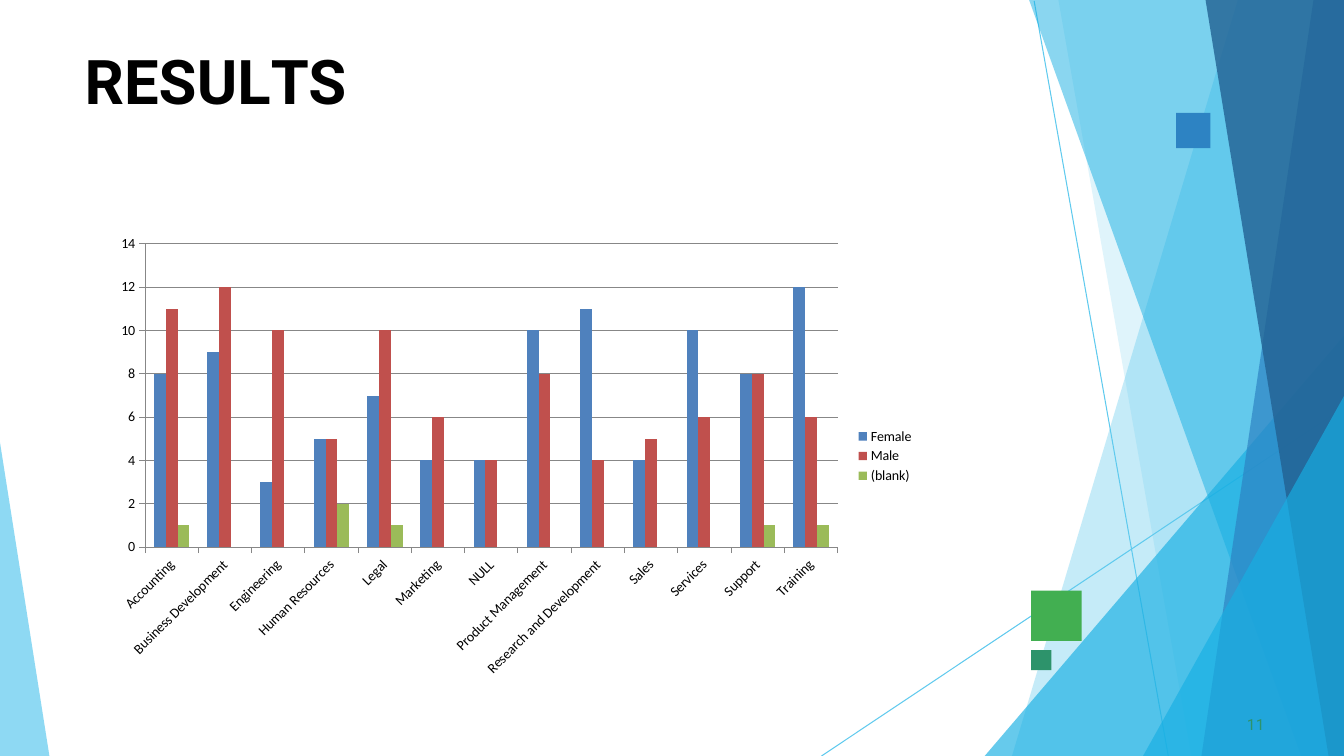
from dataclasses import dataclass

from lxml.etree import SubElement
from pptx import Presentation
from pptx.chart.data import CategoryChartData
from pptx.dml.color import RGBColor
from pptx.enum.chart import XL_CHART_TYPE as ChartType
from pptx.enum.chart import XL_LEGEND_POSITION as LegendPosition
from pptx.enum.chart import XL_TICK_MARK as TickMark
from pptx.enum.shapes import MSO_CONNECTOR as Connector
from pptx.enum.shapes import MSO_SHAPE as Preset
from pptx.oxml.ns import qn
from pptx.slide import Slide
from pptx.util import Pt

WIDTH, HEIGHT = 960, 540
COLORS = {
    "sky": "5FCAEE", "cyan": "17AFE3", "blue": "2D83C3", "navy": "226192",
    "green": "42AF51", "teal": "2D936B", "black": "000000", "axis": "878787",
    "female": "4F81BD", "male": "C0504D", "blank": "9BBB59",
}


@dataclass
class Facet:
    points: list[tuple[float, float]]
    color: str
    opacity: int


@dataclass
class Line:
    start: tuple[float, float]
    end: tuple[float, float]


@dataclass
class Block:
    left: float
    top: float
    width: float
    height: float
    color: str


@dataclass
class Label:
    box: tuple[float, float, float, float]
    runs: list[tuple[str, float]]  # text, letter spacing in points
    size: float
    color: str
    bold: bool
    indent: float
    space_before: float


@dataclass
class Series:
    name: str
    values: list[int | None]
    color: str


def right_band(top_x: float, bottom_x: float) -> list[tuple[float, float]]:
    return [(WIDTH, 0), (top_x, 0), (bottom_x, HEIGHT), (WIDTH, HEIGHT)]


def right_corner(top: float, left: float) -> list[tuple[float, float]]:
    return [(WIDTH, top), (left, HEIGHT), (WIDTH, HEIGHT)]


LINES = [Line((738.7, 0.7), (834.5, HEIGHT)), Line((WIDTH, 290.9), (586.8, HEIGHT))]
FACETS = [
    Facet(right_band(884.2, 722.9), "sky", 36),
    Facet(right_band(756, 851), "sky", 20),
    Facet(right_corner(239.8, 703.4), "cyan", 66),
    Facet(right_band(735.1, 929.5), "cyan", 50),
    Facet(right_band(938.2, 858.2), "blue", 70),
    Facet(right_band(861.1, 949), "navy", 80),
    Facet(right_corner(283, 816.5), "cyan", 66),
    Facet([(0, 316.1), (0, HEIGHT), (35.3, HEIGHT)], "sky", 70),
]
BLOCKS = [
    Block(736.6, 421.9, 36, 36, "green"),
    Block(840.2, 80.6, 24.5, 25.2, "blue"),
    Block(736.6, 464.4, 14.4, 14.4, "teal"),
]
LABELS = [
    Label((59.8, 30.2, 192.2, 54.7),
          [("R", 0), ("E", -0.4), ("S", 0.1), ("U", -0.3), ("L", -4), ("TS", 0)],
          44, "black", True, 0.7, 1.1),
    Label((887.8, 509.8, 18, 15.1), [("11", 0.1)], 11, "teal", False, 2.9, 0.6),
]
DEPARTMENTS = [
    "Accounting", "Business Development", "Engineering", "Human Resources", "Legal",
    "Marketing", "NULL", "Product Management", "Research and Development", "Sales",
    "Services", "Support", "Training",
]
SERIES = [
    Series("Female", [8, 9, 3, 5, 7, 4, 4, 10, 11, 4, 10, 8, 12], "female"),
    Series("Male", [11, 12, 10, 5, 10, 6, 4, 8, 4, 5, 6, 8, 6], "male"),
    Series("(blank)", [1, None, None, 2, 1] + [None] * 6 + [1, 1], "blank"),
]


def rgb(name: str) -> RGBColor:
    return RGBColor.from_string(COLORS[name])


def paint(shape, color: str) -> None:
    shape.shadow.inherit = False
    shape.fill.solid()
    shape.fill.fore_color.rgb = rgb(color)
    shape.line.fill.background()


def draw_line(slide: Slide, line: Line) -> None:
    ends = [Pt(value) for value in (*line.start, *line.end)]
    connector = slide.shapes.add_connector(Connector.STRAIGHT, *ends)
    connector.line.color.rgb = rgb("sky")
    connector.line.width = Pt(0.75)
    SubElement(connector._element.spPr, qn("a:effectLst"))


def draw_facet(slide: Slide, facet: Facet) -> None:
    start, *others = [(Pt(x), Pt(y)) for x, y in facet.points]
    builder = slide.shapes.build_freeform(*start)
    builder.add_line_segments(others, close=True)
    shape = builder.convert_to_shape()
    paint(shape, facet.color)
    color = shape._element.spPr.find(f"{qn('a:solidFill')}/{qn('a:srgbClr')}")
    SubElement(color, qn("a:alpha"), val=str(facet.opacity * 1000))


def draw_block(slide: Slide, block: Block) -> None:
    box = [Pt(value) for value in (block.left, block.top, block.width, block.height)]
    paint(slide.shapes.add_shape(Preset.RECTANGLE, *box), block.color)


def draw_label(slide: Slide, label: Label) -> None:
    frame = slide.shapes.add_textbox(*[Pt(value) for value in label.box]).text_frame
    frame.word_wrap = True
    frame.margin_left = frame.margin_right = frame.margin_bottom = 0
    frame.margin_top = Pt(0.7)
    paragraph = frame.paragraphs[0]
    paragraph.space_before = Pt(label.space_before)
    paragraph._p.get_or_add_pPr().set("marL", str(Pt(label.indent)))
    for text, spacing in label.runs:
        run = paragraph.add_run()
        run.text = text
        run.font.name = "Roboto"
        run.font.size = Pt(label.size)
        run.font.bold = label.bold
        run.font.color.rgb = rgb(label.color)
        run._r.get_or_add_rPr().set("spc", str(round(spacing * 100)))


def draw_chart(slide: Slide) -> None:
    data = CategoryChartData()
    data.categories = DEPARTMENTS
    for series in SERIES:
        data.add_series(series.name, series.values)
    chart = slide.shapes.add_chart(
        ChartType.COLUMN_CLUSTERED, Pt(74.9), Pt(162), Pt(585.4), Pt(327.6), data).chart
    chart.font.name = "Calibri"
    chart.font.size = Pt(10)
    chart.font.color.rgb = rgb("black")
    chart.has_title = False
    chart.has_legend = True
    chart.legend.position = LegendPosition.RIGHT
    chart.legend.include_in_layout = False

    # Columns
    plot = chart.plots[0]
    plot.vary_by_categories = False
    plot.gap_width, plot.overlap = 150, 0
    for column, series in zip(plot.series, SERIES):
        column.format.fill.solid()
        column.format.fill.fore_color.rgb = rgb(series.color)

    # Axes
    values, categories = chart.value_axis, chart.category_axis
    values.minimum_scale, values.maximum_scale, values.major_unit = 0, 14, 2
    values.has_major_gridlines = True
    for axis in (values, categories):
        axis.major_tick_mark = TickMark.OUTSIDE
    for part in (values, categories, values.major_gridlines):
        part.format.line.color.rgb = rgb("axis")
        part.format.line.width = Pt(0.75)
    categories.tick_labels.font.size = Pt(10)
    label_body = categories._element.find(f"{qn('c:txPr')}/{qn('a:bodyPr')}")
    label_body.set("rot", str(-45 * 60000))


def main() -> None:
    presentation = Presentation()
    presentation.slide_width, presentation.slide_height = Pt(WIDTH), Pt(HEIGHT)
    slide = presentation.slides.add_slide(presentation.slide_layouts[6])

    # Background decoration
    for line in LINES:
        draw_line(slide, line)
    for facet in FACETS:
        draw_facet(slide, facet)
    for block in BLOCKS:
        draw_block(slide, block)

    # Content
    for label in LABELS:
        draw_label(slide, label)
    draw_chart(slide)
    presentation.save("out.pptx")


if __name__ == "__main__":
    main()
